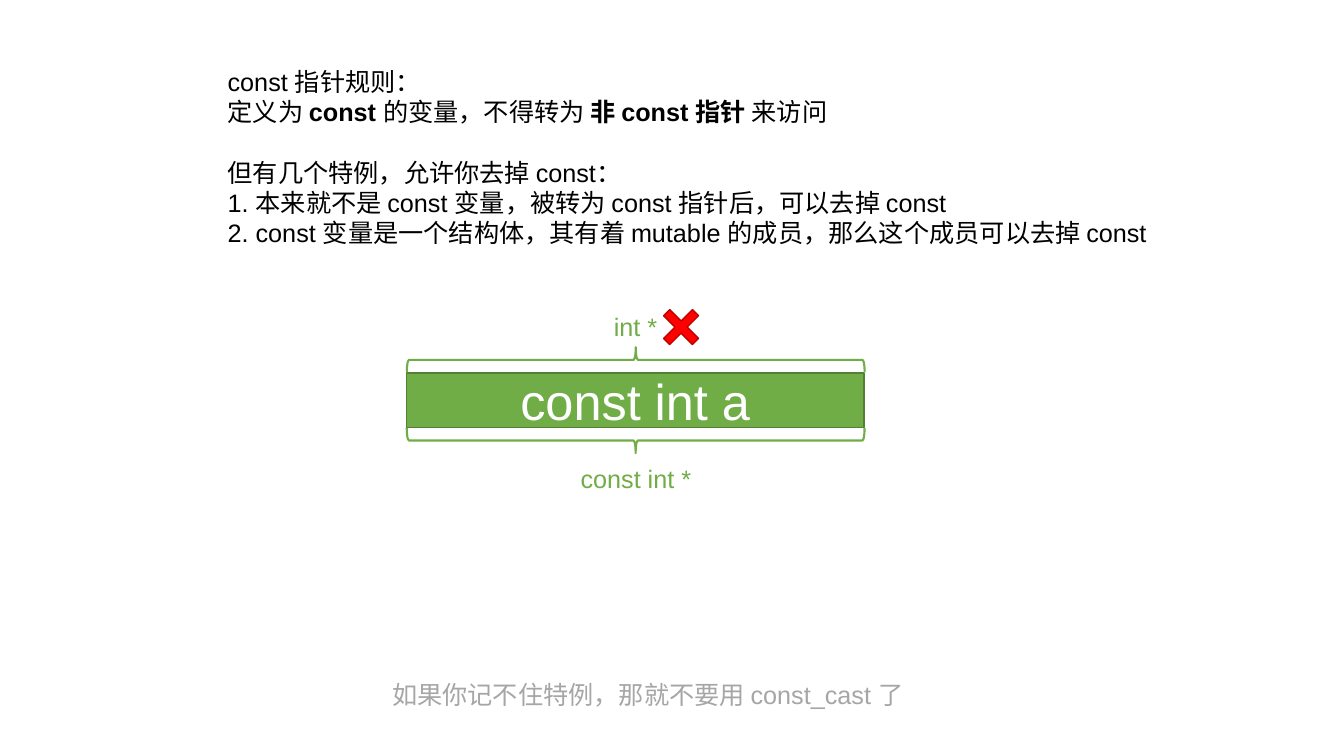
from pptx import Presentation
from pptx.dml.color import RGBColor
from pptx.enum.shapes import MSO_SHAPE
from pptx.enum.text import MSO_ANCHOR, MSO_AUTO_SIZE, PP_ALIGN
from pptx.util import Inches, Pt

GREEN = "70AD47"


def rgb(color):
    return RGBColor.from_string(color)


def add_run(p, text, color, size=18, bold=False):
    r = p.add_run()
    r.text = text
    for name, value in {"name": "Arial", "size": Pt(size), "bold": bold}.items():
        setattr(r.font, name, value)
    r.font.color.rgb = rgb(color)


prs = Presentation()
prs.slide_width, prs.slide_height = Inches(13.33), Inches(7.5)
s = prs.slides.add_slide(prs.slide_layouts[6])

rules = [
    [("const 指针规则：", False)],
    [("定义为 ", False), ("const ", True), ("的变量，不得转为 ", False),
     ("非 const 指针 ", True), ("来访问", False)],
    [("但有几个特例，允许你去掉 const：", False)],
    [("1. 本来就不是 const 变量，被转为 const 指针后，可以去掉 const", False)],
    [("2. const 变量是一个结构体，其有着 mutable 的成员，那么这个成员可以去掉 const", False)],
]
texts = [
    ((2.16, 0.61, 9.34, 1.92), rules, "000000", True),
    ((5.99, 3.04, 0.63, 0.4), [[("int *", False)]], GREEN, False),
    ((5.66, 4.55, 1.3, 0.4), [[("const int *", False)]], GREEN, False),
    ((3.79, 6.69, 5.28, 0.4), [[("如果你记不住特例，那就不要用 const_cast 了", False)]], "A6A6A6", True),
]
for box, paragraphs, color, wrap in texts:
    tf = s.shapes.add_textbox(*map(Inches, box)).text_frame
    tf.word_wrap = wrap
    tf.auto_size = MSO_AUTO_SIZE.SHAPE_TO_FIT_TEXT
    for i, runs in enumerate(paragraphs):
        p = tf.paragraphs[0] if i == 0 else tf.add_paragraph()
        if i == 2:
            p.space_before = Pt(21.5)
        for text, bold in runs:
            add_run(p, text, color, bold=bold)

shapes = [
    (MSO_SHAPE.RECTANGLE, (4.03, 3.7, 4.54, 0.54), 0, GREEN, "538035", 1),
    (MSO_SHAPE.LEFT_BRACE, (6.18, 1.3, 0.25, 4.54), 90, None, GREEN, 1.5),
    (MSO_SHAPE.LEFT_BRACE, (6.18, 2.1, 0.25, 4.54), 270, None, GREEN, 1.5),
    (MSO_SHAPE.MATH_MULTIPLY, (6.48, 2.97, 0.55, 0.55), 0, "FF0000", "C00000", 1),
]
for kind, box, rotation, fill, line, width in shapes:
    sp = s.shapes.add_shape(kind, *map(Inches, box))
    sp.shadow.inherit = False
    sp.rotation = rotation
    if fill:
        sp.fill.solid()
        sp.fill.fore_color.rgb = rgb(fill)
    else:
        sp.fill.background()
    sp.line.color.rgb = rgb(line)
    sp.line.width = Pt(width)
    if kind == MSO_SHAPE.RECTANGLE:
        tf = sp.text_frame
        tf.vertical_anchor = MSO_ANCHOR.MIDDLE
        p = tf.paragraphs[0]
        p.alignment = PP_ALIGN.CENTER
        add_run(p, "const int a", "FFFFFF", 36)
    elif kind == MSO_SHAPE.MATH_MULTIPLY:
        sp.adjustments[0] = 0.156

prs.save("out.pptx")
